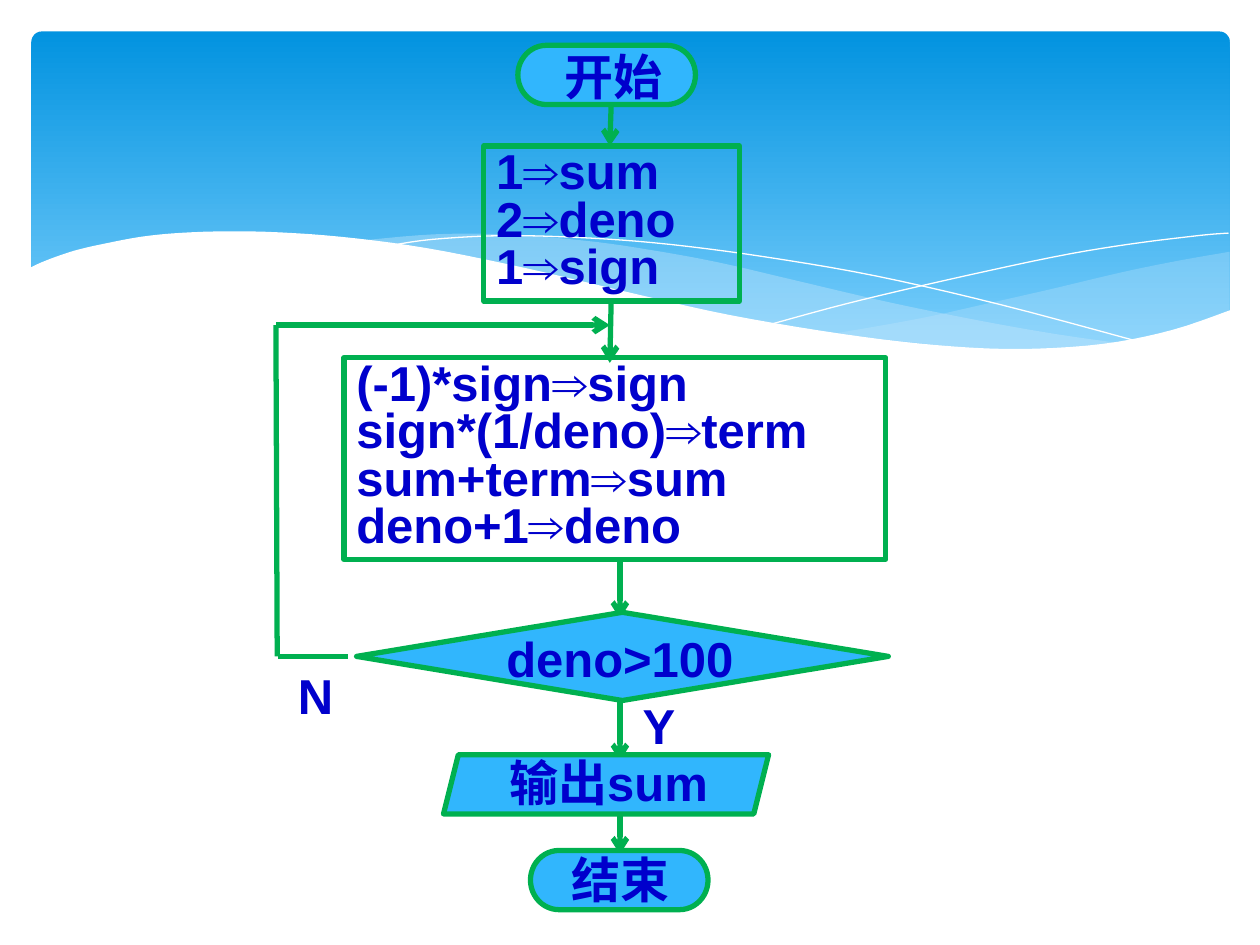
from lxml.etree import SubElement
from pptx import Presentation
from pptx.dml.color import RGBColor
from pptx.enum.shapes import MSO_CONNECTOR, MSO_SHAPE
from pptx.enum.text import MSO_ANCHOR, MSO_AUTO_SIZE, PP_ALIGN
from pptx.oxml.ns import qn
from pptx.util import Pt

PX = 9144
GREEN = "00B050"
BLUE = "31B6FD"
INK = "0000CC"
WHITE = "FFFFFF"
MIST = "C6E7FC"

SWELL_TOP = [(950, 175), (910, 182), (866, 191), (807, 205), (754, 217),
             (704, 228), (636, 240)]
SWELL_BOTTOM = [(636, 240), (693, 246), (756, 252), (810, 252), (856, 248),
                (896, 240), (924, 232), (951, 222)]
BAND_TOP = [(868, 248), (812, 240), (750, 229), (681, 215), (604, 197), (544, 183),
            (489, 173), (439, 166), (374, 161), (319, 161), (261, 166)]
BAND_BOTTOM = [(261, 166), (317, 174), (379, 186), (466, 207), (541, 223),
               (609, 236), (684, 247), (760, 253), (823, 253), (868, 248)]
FALLING_LINE = [(284, 170), (318, 165), (376, 162), (444, 164), (507, 169),
                (583, 179), (670, 194), (770, 217), (882, 247)]
RISING_LINE = [(588, 232), (647, 216), (723, 198), (811, 179), (870, 169),
               (926, 162), (950, 160)]
FRONT_WAVE = [(952, 221), (905, 237), (850, 248), (784, 252), (719, 249), (643, 240),
              (554, 225), (478, 208), (393, 188), (314, 172), (246, 163), (186, 159),
              (136, 159), (94, 162), (60, 168), (34, 174), (11, 182), (-2, 188)]


def rgb(color):
    return RGBColor.from_string(color)


def emu(*lengths):
    return [length * PX for length in lengths]


def style(sp, fill=None, line=None, width=3, alpha=None):
    sp.shadow.inherit = False
    if fill:
        sp.fill.solid()
        sp.fill.fore_color.rgb = rgb(fill)
        if alpha:
            clr = sp.fill._xPr.find(qn("a:solidFill"))[0]
            SubElement(clr, qn("a:alpha"), val=str(alpha * 1000))
    else:
        sp.fill.background()
    if line:
        sp.line.color.rgb = rgb(line)
        sp.line.width = Pt(width)
    else:
        sp.line.fill.background()


def write(sp, *lines, align=PP_ALIGN.LEFT, spacing=None, size=28, font="Arial", color=INK):
    tf = sp.text_frame
    tf.word_wrap = True
    tf.auto_size = MSO_AUTO_SIZE.SHAPE_TO_FIT_TEXT
    tf.vertical_anchor = MSO_ANCHOR.TOP
    for i, line in enumerate(lines):
        p = tf.add_paragraph() if i else tf.paragraphs[0]
        p.alignment = align
        if spacing:
            p.line_spacing = Pt(spacing)
        r = p.add_run()
        r.text = line
        r.font.name = font
        r.font.size = Pt(size)
        r.font.bold = True
        r.font.color.rgb = rgb(color)


def smooth(points, steps=5):
    ends = [points[0], *points, points[-1]]
    curve = [points[0]]
    for a, b, c, d in zip(ends, ends[1:], ends[2:], ends[3:]):
        for k in range(1, steps + 1):
            t = k / steps
            curve.append(tuple(
                b[i] + t * (c[i] - a[i]) / 2
                + t * t * (2 * a[i] - 5 * b[i] + 4 * c[i] - d[i]) / 2
                + t ** 3 * (3 * b[i] - a[i] - 3 * c[i] + d[i]) / 2
                for i in (0, 1)))
    return curve


def add_wave_panel(s, x, y, w, h):
    panel = s.shapes.add_shape(MSO_SHAPE.ROUNDED_RECTANGLE, *emu(x, y, w, h))
    panel.adjustments[0] = 0.03
    style(panel)
    panel.fill.gradient()
    panel.fill.gradient_angle = 270
    for stop, color in zip(panel.fill.gradient_stops, ("0293E0", "83D3FE")):
        stop.color.rgb = rgb(color)

    def outline(points, close=True, **look):
        spots = [emu(x + px, y + py) for px, py in points]
        builder = s.shapes.build_freeform(*spots[0], scale=1.0)
        builder.add_line_segments(spots[1:], close=close)
        style(builder.convert_to_shape(), **look)

    outline(smooth(SWELL_TOP) + smooth(SWELL_BOTTOM) + [(951, 175)], fill=MIST, alpha=29)
    outline(smooth(BAND_TOP) + smooth(BAND_BOTTOM), fill=MIST, alpha=40)
    for line in (FALLING_LINE, RISING_LINE):
        outline(smooth(line), close=False, line=WHITE, width=0)
    outline(smooth(FRONT_WAVE) + [(-2, 304), (952, 304)], fill=WHITE)


def add_flowchart(s, x, y):
    def place(left, top, w, h):
        return emu(x + left, y + top, w, h)

    def link(x1, y1, x2, y2, arrow=True):
        cx = s.shapes.add_connector(
            MSO_CONNECTOR.STRAIGHT, *emu(x + x1, y + y1, x + x2, y + y2))
        cx.line.color.rgb = rgb(GREEN)
        cx.line.width = Pt(3)
        if arrow:
            SubElement(cx.line._get_or_add_ln(), qn("a:tailEnd"), type="arrow")
        SubElement(cx._element.spPr, qn("a:effectLst"))

    def process(box, *lines):
        sp = s.shapes.add_shape(MSO_SHAPE.RECTANGLE, *place(*box))
        style(sp, line=GREEN)
        write(sp, *lines, spacing=27)

    def label(shapes, box, text, align=PP_ALIGN.CENTER):
        write(shapes.add_textbox(*place(*box)), text, align=align)

    def node(kind, box, text_box, text, align=PP_ALIGN.CENTER):
        group = s.shapes.add_group_shape()
        style(group.shapes.add_shape(kind, *place(*box)), fill=BLUE, line=GREEN)
        label(group.shapes, text_box, text, align)

    link(266, 53, 265, 84)
    link(266, 209, 265, 256)
    process((165, 84, 203, 123), "1⇒sum", "2⇒deno", "1⇒sign")
    link(273, 412, 273, 459)
    link(57, 489, 2, 489, arrow=False)
    link(1, 489, 0, 226, arrow=False)
    link(273, 615, 273, 646)
    process((54, 252, 430, 160), "(-1)*sign⇒sign", "sign*(1/deno)⇒term",
            "sum+term⇒sum", "deno+1⇒deno")
    link(0, 226, 265, 226)
    label(s.shapes, (0, 491, 63, 57), "N")
    node(MSO_SHAPE.FLOWCHART_DECISION, (64, 454, 422, 70),
         (140, 462, 266, 57), "deno>100")
    label(s.shapes, (273, 515, 62, 57), "Y")
    link(273, 525, 273, 572)
    node(MSO_SHAPE.PARALLELOGRAM, (133, 567, 258, 47), (143, 560, 242, 57), "输出sum")
    node(MSO_SHAPE.FLOWCHART_TERMINATOR, (202, 643, 141, 47),
         (225, 637, 102, 57), "结束", PP_ALIGN.LEFT)
    node(MSO_SHAPE.FLOWCHART_TERMINATOR, (192, 4, 141, 47),
         (219, 0, 102, 57), "开始", PP_ALIGN.LEFT)


def main():
    prs = Presentation()
    prs.slide_width, prs.slide_height = emu(1000, 750)
    s = prs.slides.add_slide(prs.slide_layouts[6])
    add_wave_panel(s, 25, 25, 951, 270)
    add_flowchart(s, 219, 32)
    prs.save("out.pptx")


if __name__ == "__main__":
    main()
